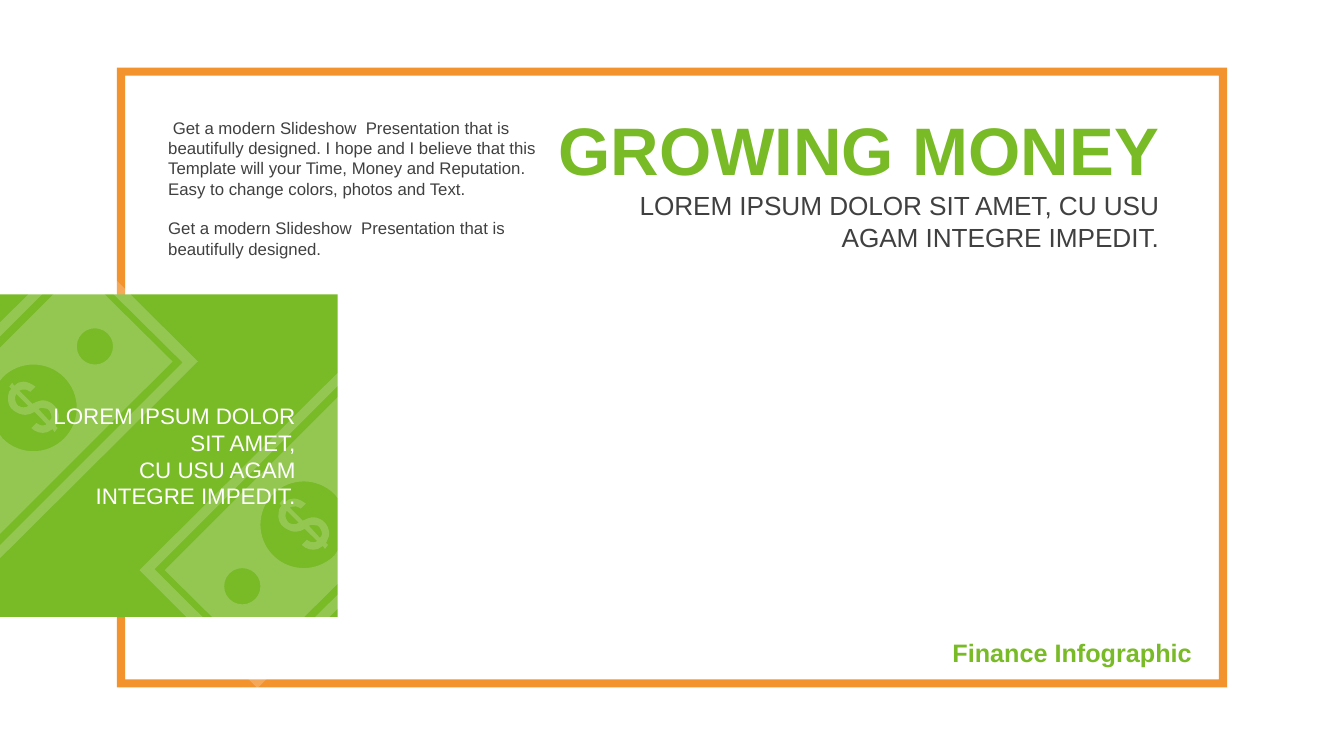
import math

import pptx
import pptx.util
import pptx.dml.color
import pptx.enum.shapes
import pptx.enum.text
from lxml import etree
from pptx.util import Inches

COLORS = {"orange": "F3932D", "green": "79BA27", "white": "FFFFFF", "gray": "404040"}
SHAPES = pptx.enum.shapes.MSO_SHAPE
MIDDLE = pptx.enum.text.MSO_ANCHOR.MIDDLE
RIGHT = pptx.enum.text.PP_ALIGN.RIGHT

# Dollar sign contours, drawn around DOLLAR_CENTRE: pairs are line ends, sixes are curves
DOLLAR_CENTRE = (3.02, 5.2)
DOLLAR = [
    [(3.11, 5.2), (3.1, 5.2, 3.08, 5.2, 3.07, 5.21), (3.18, 5.33),
     (3.19, 5.32, 3.19, 5.31, 3.2, 5.3), (3.2, 5.27, 3.19, 5.23, 3.16, 5.21),
     (3.14, 5.2, 3.13, 5.2, 3.11, 5.2)],
    [(2.85, 5.06), (2.84, 5.07, 2.84, 5.08, 2.84, 5.09),
     (2.83, 5.12, 2.85, 5.16, 2.87, 5.18), (2.91, 5.2, 2.94, 5.2, 2.97, 5.18)],
    [(2.92, 4.94), (2.96, 4.94, 3, 4.96, 3.04, 4.99), (2.99, 5.04),
     (2.96, 5.02, 2.93, 5.01, 2.9, 5.02), (2.89, 5.02, 2.89, 5.02, 2.88, 5.03),
     (3.01, 5.16), (3.07, 5.13, 3.12, 5.1, 3.21, 5.16),
     (3.25, 5.19, 3.28, 5.25, 3.27, 5.31), (3.26, 5.34, 3.25, 5.36, 3.24, 5.38),
     (3.26, 5.4), (3.23, 5.44), (3.21, 5.41), (3.19, 5.42, 3.18, 5.43, 3.16, 5.44),
     (3.1, 5.46, 3.04, 5.44, 3, 5.4), (3.05, 5.35),
     (3.07, 5.37, 3.1, 5.38, 3.14, 5.37), (3.14, 5.37, 3.15, 5.37, 3.15, 5.36),
     (3.03, 5.24), (2.98, 5.27, 2.92, 5.29, 2.83, 5.23),
     (2.78, 5.2, 2.76, 5.14, 2.77, 5.08), (2.77, 5.05, 2.78, 5.03, 2.8, 5.01),
     (2.78, 4.99), (2.81, 4.95), (2.83, 4.98), (2.84, 4.97, 2.86, 4.96, 2.87, 4.95),
     (2.89, 4.95, 2.9, 4.94, 2.92, 4.94)],
]


def arc(centre, radius, start, end, curves):
    """Start point and cubic curves of a circular arc, angles in degrees."""
    step = math.radians(end - start) / curves
    handle = 4 / 3 * math.tan(step / 4)

    def place(angle, tangent):
        cosine, sine = math.cos(angle), math.sin(angle)
        return (centre[0] + radius * (cosine - tangent * sine),
                centre[1] + radius * (sine + tangent * cosine))

    angles = [math.radians(start) + step * i for i in range(curves + 1)]
    return [place(angles[0], 0)] + [
        place(a, handle) + place(b, -handle) + place(b, 0)
        for a, b in zip(angles, angles[1:])]


def move_points(segment, change):
    """Apply change(x, y) to each point of a segment."""
    return sum((change(x, y) for x, y in zip(segment[::2], segment[1::2])), ())


class SlideBuilder:
    font_name = "Arial"

    def __init__(self, slide):
        self.slide = slide

    def color(self, name):
        return pptx.dml.color.RGBColor.from_string(COLORS[name])

    def paint(self, shape, color):
        shape.shadow.inherit = False
        shape.fill.solid()
        shape.fill.fore_color.rgb = self.color(color)
        shape.line.fill.background()

    def block(self, kind, box, color):
        shape = self.slide.shapes.add_shape(kind, *map(Inches, box))
        self.paint(shape, color)
        return shape

    def text(self, box, lines, size, color, bold=False, align=None, anchor=None, gap=0):
        frame = self.slide.shapes.add_textbox(*map(Inches, box)).text_frame
        frame.word_wrap = True
        frame.auto_size = pptx.enum.text.MSO_AUTO_SIZE.SHAPE_TO_FIT_TEXT
        frame.vertical_anchor = anchor
        for index, line in enumerate(lines):
            paragraph = frame.add_paragraph() if index else frame.paragraphs[0]
            paragraph.text = line
            paragraph.alignment = align
            if index and gap:
                paragraph.space_before = pptx.util.Pt(gap)
            paragraph.font.name = self.font_name
            paragraph.font.size = pptx.util.Pt(size)
            paragraph.font.bold = bold
            paragraph.font.color.rgb = self.color(color)

    def outline(self, contours, pivot, angle, color, opacity):
        """Draw contours, given as they show, as one shape turned about the pivot."""
        cosine, sine = math.cos(math.radians(-angle)), math.sin(math.radians(-angle))

        def turn_back(x, y):
            dx, dy = x - pivot[0], y - pivot[1]
            return (Inches(pivot[0] + dx * cosine - dy * sine),
                    Inches(pivot[1] + dx * sine + dy * cosine))

        contours = [[move_points(s, turn_back) for s in contour] for contour in contours]
        builder = self.slide.shapes.build_freeform(*contours[0][0])
        for index, contour in enumerate(contours):
            if index:
                builder.move_to(*contour[0])
            builder.add_line_segments([s[-2:] for s in contour[1:]], close=False)
            builder.add_line_segments([], close=True)
        shape = builder.convert_to_shape()

        # Bend the straight segments that have control points
        qn = pptx.oxml.ns.qn
        lines = list(shape.element.iter(qn("a:lnTo")))
        segments = [s for contour in contours for s in contour[1:]]
        for line, segment in zip(lines, segments):
            if len(segment) == 6:
                curve = etree.Element(qn("a:cubicBezTo"))
                for x, y in zip(segment[::2], segment[1::2]):
                    etree.SubElement(curve, qn("a:pt"), x=str(x - shape.left),
                                     y=str(y - shape.top))
                line.getparent().replace(line, curve)

        shape.rotation = angle
        self.paint(shape, color)
        fill_color = next(shape.element.iter(qn("a:srgbClr")))
        etree.SubElement(fill_color, qn("a:alpha"), val=str(opacity * 1000))

    def banknote(self, pivot, spot, seal, seal_angles, before_seal, after_seal, border):
        dx, dy = seal[0] - DOLLAR_CENTRE[0], seal[1] - DOLLAR_CENTRE[1]
        dollar = [[move_points(s, lambda x, y: (x + dx, y + dy)) for s in contour]
                  for contour in DOLLAR]
        body = before_seal + arc(seal, 0.43, *seal_angles, 3) + after_seal
        self.outline([arc(spot, 0.18, 0, 360, 6), *dollar, body, border],
                     pivot, 315, "white", 20)


def main():
    presentation = pptx.Presentation()
    presentation.slide_width = Inches(13.33)
    presentation.slide_height = Inches(7.5)
    builder = SlideBuilder(presentation.slides.add_slide(presentation.slide_layouts[6]))

    # Frame and green panel
    frame = builder.block(SHAPES.FRAME, (1.16, 0.67, 11.01, 6.15), "orange")
    frame.adjustments[0] = 0.013
    builder.block(SHAPES.RECTANGLE, (0, 2.92, 3.35, 3.2), "green")

    # Texts
    builder.text((0.33, 3.93, 2.7, 1.18),
                 ["LOREM IPSUM DOLOR SIT AMET,", "CU USU AGAM INTEGRE IMPEDIT."],
                 16, "white", align=RIGHT, anchor=MIDDLE)
    builder.text((8.45, 6.27, 3.47, 0.4), ["Finance Infographic"],
                 18, "green", bold=True, align=RIGHT)
    builder.text((5.83, 1.83, 5.76, 0.73),
                 ["LOREM IPSUM DOLOR SIT AMET, CU USU AGAM INTEGRE IMPEDIT."],
                 18.67, "gray", align=RIGHT, anchor=MIDDLE)
    builder.text((5.29, 1.02, 6.31, 0.91), ["GROWING MONEY"],
                 48, "green", bold=True, align=RIGHT, anchor=MIDDLE)
    builder.text((1.57, 1.12, 4.03, 1.51),
                 [" Get a modern Slideshow  Presentation that is beautifully designed. "
                  "I hope and I believe that this Template will your Time, Money and "
                  "Reputation. Easy to change colors, photos and Text.",
                  "Get a modern Slideshow  Presentation that is beautifully designed."],
                 12, "gray", gap=14)

    # Banknotes, cut off at the panel's right and left edges
    builder.banknote(
        pivot=(2.95, 5.25), spot=(2.41, 5.81), seal=(3.02, 5.2), seal_angles=(-45, -315),
        before_seal=[(3.36, 3.93), (3.36, 4.94)],
        after_seal=[(3.36, 5.45), (3.36, 5.78), (2.57, 6.57), (1.64, 5.65)],
        border=[(3.36, 3.69), (3.36, 3.82), (1.54, 5.64), (2.57, 6.67),
                (3.36, 5.89), (3.36, 6.03), (2.56, 6.82), (1.39, 5.65)])
    builder.banknote(
        pivot=(0.4, 3.98), spot=(0.94, 3.44), seal=(0.33, 4.05), seal_angles=(135, -135),
        before_seal=[(0.78, 2.67), (1.71, 3.59), (0, 5.3), (0, 4.32)],
        after_seal=[(0, 3.78), (0, 3.45)],
        border=[(0.79, 2.42), (1.96, 3.59), (0, 5.54), (0, 5.41),
                (1.81, 3.6), (0.77, 2.57), (0, 3.34), (0, 3.2)])

    presentation.save("out.pptx")


if __name__ == "__main__":
    main()
